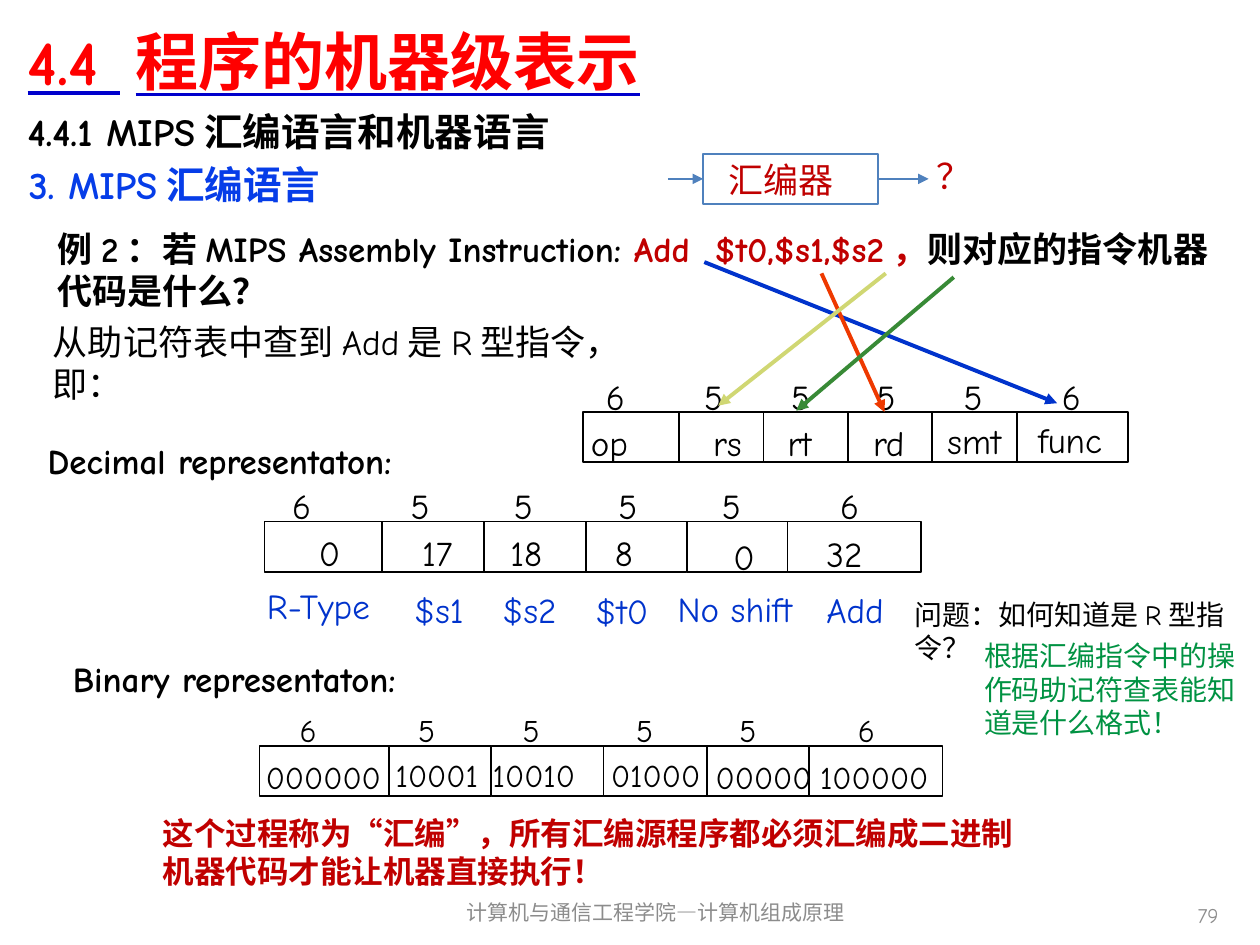
from dataclasses import dataclass

from lxml.etree import SubElement
from pptx import Presentation
from pptx.dml.color import RGBColor
from pptx.enum.shapes import MSO_CONNECTOR, MSO_SHAPE
from pptx.enum.text import MSO_ANCHOR, MSO_AUTO_SIZE, PP_ALIGN
from pptx.oxml.ns import qn
from pptx.util import Cm, Pt


@dataclass(frozen=True)
class Theme:
    font: str = "Comic Neue"
    black: str = "000000"
    title: str = "FF0000"
    underline: str = "0000CC"
    topic: str = "063DE8"
    accent: str = "C00000"
    note: str = "0033CC"
    answer: str = "009242"
    footer: str = "8C8C8C"
    frame: str = "4F81BD"
    to_func: str = "0033CC"
    to_rd: str = "EE3900"
    to_rt: str = "388A36"
    to_rs: str = "D0D773"
    title_size: int = 36
    heading_size: int = 22
    body_size: int = 20
    small_size: int = 18
    remark_size: int = 16
    footer_size: int = 12


THEME = Theme()
TIGHT = (0.07, 0.03)
ROOMY = (0.1, 0.05)


def inch(value):
    return Cm(value * 2.54)


def add_text(shapes, box, runs, size=THEME.body_size, color=THEME.black, bold=False,
             inset=ROOMY, wrap=True, grow=False, spacing=None,
             anchor=MSO_ANCHOR.TOP, align=PP_ALIGN.LEFT):
    """Place one paragraph; runs is a string or a list of (text, colour) pairs."""
    frame = shapes.add_textbox(*map(inch, box)).text_frame
    across, down = map(inch, inset)
    frame_format = {
        "margin_left": across, "margin_right": across,
        "margin_top": down, "margin_bottom": down,
        "word_wrap": wrap, "vertical_anchor": anchor,
        "auto_size": MSO_AUTO_SIZE.SHAPE_TO_FIT_TEXT if grow else MSO_AUTO_SIZE.NONE,
    }
    for name, value in frame_format.items():
        setattr(frame, name, value)
    paragraph = frame.paragraphs[0]
    paragraph.alignment = align
    if spacing:
        paragraph.line_spacing = spacing
    for text, run_color in [(runs, color)] if isinstance(runs, str) else runs:
        run = paragraph.add_run()
        run.text = text
        for name, value in {"name": THEME.font, "size": Pt(size), "bold": bold}.items():
            setattr(run.font, name, value)
        run.font.color.rgb = RGBColor.from_string(run_color)
    return paragraph


def add_label(shapes, box, text, compact, **style):
    if compact:
        style.update(inset=TIGHT, wrap=False, spacing=0.85)
    add_text(shapes, box, text, grow=True, **style)


def add_frame(shapes, box, color):
    frame = shapes.add_shape(MSO_SHAPE.RECTANGLE, *map(inch, box))
    frame.shadow.inherit = False
    frame.fill.background()
    frame.line.color.rgb = RGBColor.from_string(color)
    frame.line.width = Pt(1)
    return frame


def add_arrow(shapes, start, end, color, width):
    arrow = shapes.add_connector(MSO_CONNECTOR.STRAIGHT, *map(inch, start + end))
    arrow.line.color.rgb = RGBColor.from_string(color)
    arrow.line.width = Pt(width)
    SubElement(arrow.line._get_or_add_ln(), qn("a:tailEnd"), type="triangle")
    SubElement(arrow._element.spPr, qn("a:effectLst"))
    return arrow


def add_headings(shapes, left, top):
    title = add_text(shapes, (left, top, 9.69, 0.85), "4.4 程序的机器级表示",
                     size=THEME.title_size, color=THEME.title, bold=True,
                     anchor=MSO_ANCHOR.MIDDLE)
    font = title.runs[0].font
    font.underline = True
    underline_fill = SubElement(SubElement(font._element, qn("a:uFill")), qn("a:solidFill"))
    SubElement(underline_fill, qn("a:srgbClr"), val=THEME.underline)
    latin = font._element.find(qn("a:latin"))
    latin.addprevious(underline_fill.getparent())
    add_text(shapes, (left, top + 0.76, 9.69, 6.23), "4.4.1 MIPS汇编语言和机器语言",
             size=THEME.heading_size, bold=True)
    add_text(shapes, (left + 0.01, top + 1.18, 5.11, 0.43), "3. MIPS汇编语言",
             size=THEME.heading_size, color=THEME.topic, bold=True)


def add_example(shapes, left, top):
    add_text(shapes, (left, top, 9.53, 1.09), [
        ("例2：若MIPS Assembly Instruction: ", THEME.black),
        ("Add  $t0,$s1,$s2，", THEME.accent),
        ("则对应的指令机器代码是什么？", THEME.black)], bold=True)


def add_instruction(shapes, left, top, widths, bit_lefts, values, bit_width=0.45,
                    bit_rise=0.34, size=THEME.body_size, notes=(), heading=None):
    """Draw one instruction word; values and notes are (text, x, y, width) from its corner."""
    group = shapes.add_group_shape().shapes
    if heading:
        text, x, y, height = heading
        add_text(group, (left + x, top + y, 3.46, height), text, bold=True, grow=True)
    for index, (width, bit_left, value) in enumerate(zip(widths, bit_lefts, values)):
        add_frame(group, (left + sum(widths[:index]), top, width, 0.4), THEME.black)
        text, x, y, text_width = value
        last = index == len(widths) - 1
        add_label(group, (left + x, top + y, text_width, 0.44 if last else 0.34), text,
                  compact=not last, size=size)
        bits = "6" if index == 0 or last else "5"
        add_label(group, (left + bit_left, top - bit_rise, bit_width, 0.44), bits,
                  compact=False, size=size)
    for text, x, y, width in notes:
        add_text(group, (left + x, top + y, width, 0.44), text, color=THEME.note,
                 wrap=False, grow=True)


def add_assembler(shapes, left, top):
    group = shapes.add_group_shape().shapes
    middle = top + 0.2
    style = dict(color=THEME.accent, inset=TIGHT, grow=True)
    add_text(group, (left + 0.41, top + 0.01, 1.21, 0.39), "汇编器", **style)
    assembler = add_frame(group, (left + 0.28, top, 1.39, 0.4), THEME.frame)
    source = add_arrow(group, (left, middle), (left + 0.28, middle), THEME.frame, 1)
    source.end_connect(assembler, 1)
    result = add_arrow(group, (left + 1.67, middle), (left + 2.07, middle), THEME.frame, 1.5)
    result.begin_connect(assembler, 3)
    add_text(group, (left + 2.06, top - 0.02, 1.21, 0.39), "？", **style)


def add_remarks(shapes):
    remarks = [
        ((1.22, 6.43, 7.01, 0.66),
         "这个过程称为“汇编”，所有汇编源程序都必须汇编成二进制机器代码才能让机器直接执行！",
         dict(size=THEME.small_size, color=THEME.accent, bold=True)),
        ((7.19, 4.71, 2.78, 0.33), "问题：如何知道是R型指令？", dict(size=THEME.remark_size)),
        ((7.74, 5.04, 2.15, 0.86), "根据汇编指令中的操作码助记符查表能知道是什么格式！",
         dict(size=THEME.remark_size, color=THEME.answer)),
        ((0.35, 2.51, 4.85, 0.39), "从助记符表中查到Add是R型指令，即：", {}),
    ]
    for box, text, style in remarks:
        add_text(shapes, box, text, inset=TIGHT, grow=True, **style)


def add_mapping_arrows(shapes):
    for start, end, color in [
        ((5.59, 2.08), (8.39, 3.2), THEME.to_func),
        ((6.52, 2.17), (7.02, 3.27), THEME.to_rd),
        ((7.57, 2.2), (6.32, 3.26), THEME.to_rt),
        ((7.03, 2.17), (5.7, 3.22), THEME.to_rs),
    ]:
        add_arrow(shapes, start, end, color, 2.25)


def add_footer(shapes, top):
    style = dict(size=THEME.footer_size, color=THEME.footer, anchor=MSO_ANCHOR.MIDDLE)
    add_text(shapes, (3.35, top, 3.71, 0.4), "计算机与通信工程学院—计算机组成原理",
             align=PP_ALIGN.CENTER, **style)
    add_text(shapes, (7.44, top + 0.02, 2.33, 0.4), "79", align=PP_ALIGN.RIGHT, **style)


def main():
    deck = Presentation()
    deck.slide_width, deck.slide_height = inch(10), inch(7.5)
    shapes = deck.slides.add_slide(deck.slide_layouts[6]).shapes
    add_headings(shapes, 0.12, 0.05)
    add_footer(shapes, 7.04)
    add_example(shapes, 0.36, 1.76)
    add_instruction(
        shapes, 4.63, 3.27, [0.76, 0.67, 0.67, 0.67, 0.67, 0.88],
        [0.08, 0.86, 1.55, 2.23, 2.92, 3.7],
        [("op", -0.01, 0.1, 0.44), ("rs", 0.96, 0.1, 0.41), ("rt", 1.55, 0.1, 0.41),
         ("rd", 2.23, 0.1, 0.44), ("smt", 2.82, 0.08, 0.63), ("func", 3.51, 0, 0.79)],
        bit_width=0.38)
    add_instruction(
        shapes, 2.1, 4.14, [0.93, 0.81, 0.81, 0.8, 0.8, 1.06],
        [0.12, 1.06, 1.88, 2.71, 3.53, 4.47],
        [("0", 0.36, 0.1, 0.31), ("17", 1.18, 0.1, 0.44), ("18", 1.88, 0.1, 0.44),
         ("8", 2.71, 0.1, 0.31), ("0", 3.65, 0.13, 0.31), ("32", 4.36, 0.04, 0.95)],
        notes=[("R-Type", -0.08, 0.45, 1.14), ("$s1", 1.09, 0.48, 0.66),
               ("$s2", 1.79, 0.48, 0.7), ("$t0", 2.53, 0.49, 0.7),
               ("No shift", 3.18, 0.47, 1.31), ("Add", 4.36, 0.48, 0.73)],
        heading=("Decimal representaton:", -1.82, -0.7, 0.94))
    add_instruction(
        shapes, 2.06, 5.92, [1.03, 0.81, 0.89, 0.82, 0.81, 1.06],
        [0.22, 1.16, 1.99, 2.89, 3.71, 4.65],
        [("000000", -0.02, 0.11, 1.07), ("10001", 1.01, 0.1, 0.83),
         ("10010", 1.78, 0.1, 0.83), ("01000", 2.72, 0.1, 0.87),
         ("00000", 3.55, 0.11, 0.91), ("100000", 4.35, 0.05, 1.11)],
        bit_rise=0.33, size=THEME.small_size,
        heading=("Binary representaton:", -1.58, -0.75, 0.89))
    add_assembler(shapes, 5.3, 1.22)
    add_remarks(shapes)
    add_mapping_arrows(shapes)
    deck.save("out.pptx")


if __name__ == "__main__":
    main()
